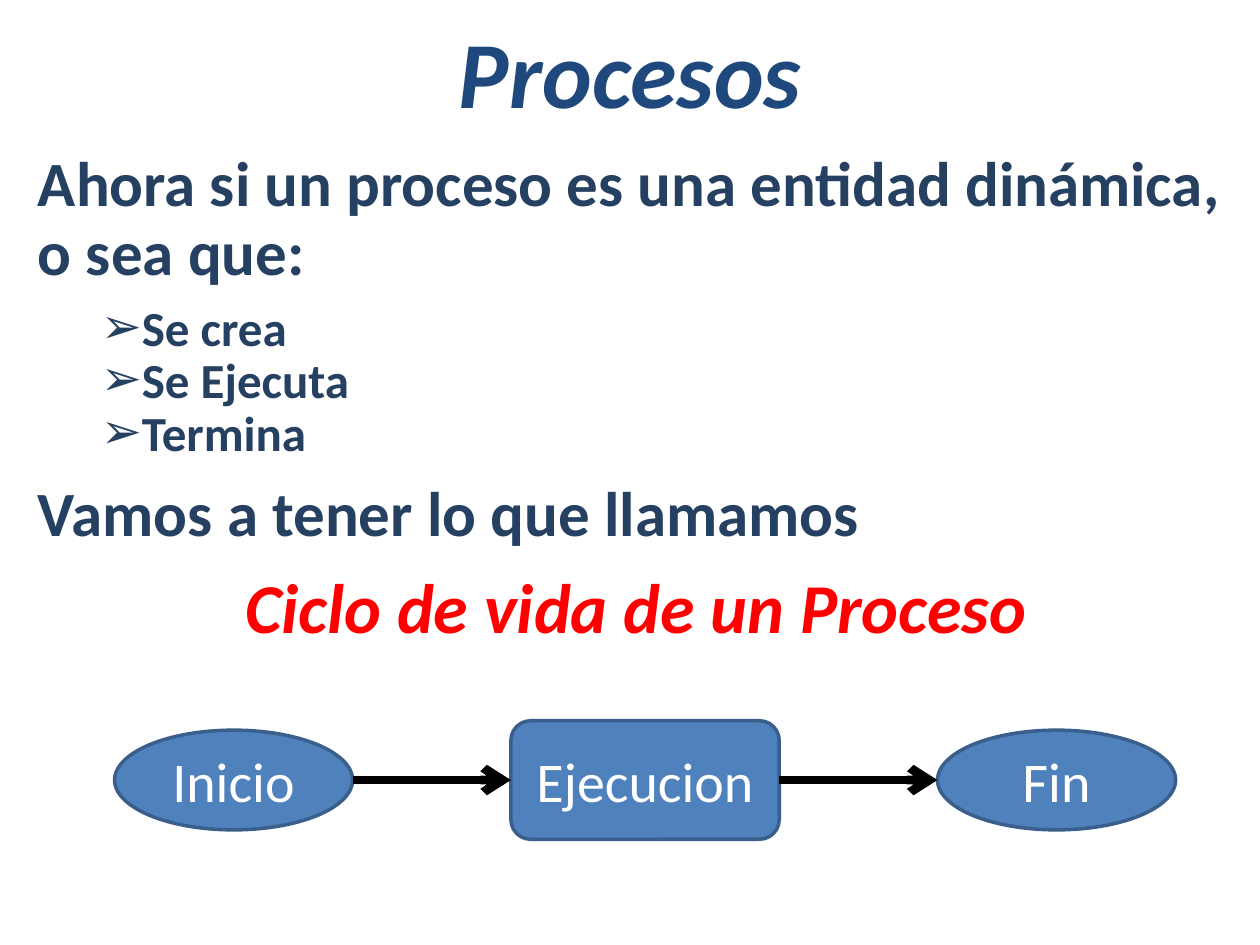
from lxml import etree
from pptx import Presentation
from pptx.dml.color import RGBColor
from pptx.enum.shapes import MSO_CONNECTOR, MSO_SHAPE
from pptx.enum.text import MSO_ANCHOR, MSO_AUTO_SIZE, PP_ALIGN
from pptx.oxml.ns import qn
from pptx.util import Cm, Pt

ELLIPSE, ROUNDED = MSO_SHAPE.OVAL, MSO_SHAPE.ROUNDED_RECTANGLE
STRAIGHT = MSO_CONNECTOR.STRAIGHT
MIDDLE, TOP = MSO_ANCHOR.MIDDLE, MSO_ANCHOR.TOP
LEFT, CENTER = PP_ALIGN.LEFT, PP_ALIGN.CENTER
NO_AUTOFIT = MSO_AUTO_SIZE.NONE
LEFT_SIDE, RIGHT_SIDE = 1, 3

FONT = "Calibri"
COLORS = {
    "title": "1F497D",
    "body": "254061",
    "accent": "FF0000",
    "node": "4F81BD",
    "outline": "3A5F8C",
    "node_text": "FFFFFF",
    "arrow": "000000",
}
LINES = [
    dict(text="Ahora si un proceso es una entidad dinámica, o sea que:", size=36, spacing=39),
    dict(text="Se crea", size=28, spacing=39, bullet="➢"),
    dict(text="Se Ejecuta", size=28, spacing=30, bullet="➢"),
    dict(text="Termina", size=28, spacing=30, bullet="➢"),
    dict(text="Vamos a tener lo que llamamos", size=36, before=7.2),
    dict(text="Ciclo de vida de un Proceso", size=40, before=8, color="accent",
         italic=True, align=CENTER),
]
STAGES = [
    ("Inicio", ELLIPSE, 4.8, 2.01),
    ("Ejecucion", ROUNDED, 5.41, 2.39),
    ("Fin", ELLIPSE, 4.8, 2.01),
]


def color_of(name):
    """Return the named palette colour."""
    return RGBColor.from_string(COLORS[name])


def style_text(para, size, color, align, bold=False, italic=False):
    """Set the font and alignment of a paragraph."""
    para.alignment = align
    font = para.font
    font.name, font.size = FONT, Pt(size)
    font.bold, font.italic = bold, italic
    font.color.rgb = color_of(color)


def place(shape, box, anchor):
    """Move a placeholder into a box given in centimetres."""
    shape.left, shape.top, shape.width, shape.height = map(Cm, box)
    frame = shape.text_frame
    frame.word_wrap = True
    frame.auto_size = NO_AUTOFIT
    frame.vertical_anchor = anchor
    return frame


def set_bullet(para, bullet):
    """Give a paragraph a hanging bullet, or none at all."""
    props = para._p.get_or_add_pPr()
    props.set("marL", str(Cm(2.06 if bullet else 0)))
    props.set("indent", str(Cm(-0.79 if bullet else 0)))
    if bullet:
        etree.SubElement(props, qn("a:buChar")).set("char", bullet)
    else:
        etree.SubElement(props, qn("a:buNone"))


def fill_title(page, box):
    """Write the slide title."""
    para = place(page.shapes.title, box, MIDDLE).paragraphs[0]
    para.text = "Procesos"
    style_text(para, 54, "title", CENTER, bold=True, italic=True)


def fill_body(page, box):
    """Write the explanation and its list."""
    frame = place(page.placeholders[1], box, TOP)
    for index, line in enumerate(LINES):
        para = frame.add_paragraph() if index else frame.paragraphs[0]
        bullet = line.get("bullet")
        para.text = line["text"]
        para.level = 1 if bullet else 0
        set_bullet(para, bullet)
        para.space_before = Pt(line.get("before", 0))
        if "spacing" in line:
            para.line_spacing = Pt(line["spacing"])
        style_text(para, line["size"], line.get("color", "body"),
                   line.get("align", LEFT), bold=True, italic=line.get("italic", False))


def add_stage(page, kind, text, box):
    """Add one stage of the life cycle."""
    stage = page.shapes.add_shape(kind, *map(Cm, box))
    stage.shadow.inherit = False
    stage.fill.solid()
    stage.fill.fore_color.rgb = color_of("node")
    stage.line.color.rgb = color_of("outline")
    stage.line.width = Pt(2)
    frame = stage.text_frame
    frame.vertical_anchor = MIDDLE
    para = frame.paragraphs[0]
    para.text = text
    style_text(para, 32, "node_text", CENTER)
    return stage


def add_arrow(page, start, end, middle):
    """Add an arrow from one stage to the next."""
    arrow = page.shapes.add_connector(
        STRAIGHT, start.left + start.width, middle, end.left, middle)
    if start.auto_shape_type == ROUNDED:
        arrow.begin_connect(start, RIGHT_SIDE)
    if end.auto_shape_type == ROUNDED:
        arrow.end_connect(end, LEFT_SIDE)
    arrow.line.color.rgb = color_of("arrow")
    arrow.line.width = Pt(5)
    etree.SubElement(arrow.line._get_or_add_ln(), qn("a:tailEnd")).set("type", "arrow")
    etree.SubElement(arrow._element.spPr, qn("a:effectLst"))


def draw_cycle(page, box):
    """Draw the stages at equal gaps across the box and join them."""
    left, top, width, height = box
    gap = (width - sum(stage[2] for stage in STAGES)) / (len(STAGES) - 1)
    middle = top + height / 2
    stages = []
    for text, kind, stage_width, stage_height in STAGES:
        stage_box = (left, middle - stage_height / 2, stage_width, stage_height)
        stages.append(add_stage(page, kind, text, stage_box))
        left += stage_width + gap
    for start, end in zip(stages, stages[1:]):
        add_arrow(page, start, end, Cm(middle))


def main():
    """Build and save the deck."""
    deck = Presentation()
    deck.slide_width, deck.slide_height = Cm(25.4), Cm(19.05)
    page = deck.slides.add_slide(deck.slide_layouts[1])
    fill_title(page, (1.27, 0.33, 22.86, 2.21))
    fill_body(page, (0.51, 2.92, 24.61, 15.6))
    draw_cycle(page, (2.31, 14.53, 21.39, 2.39))
    deck.save("out.pptx")


if __name__ == "__main__":
    main()
